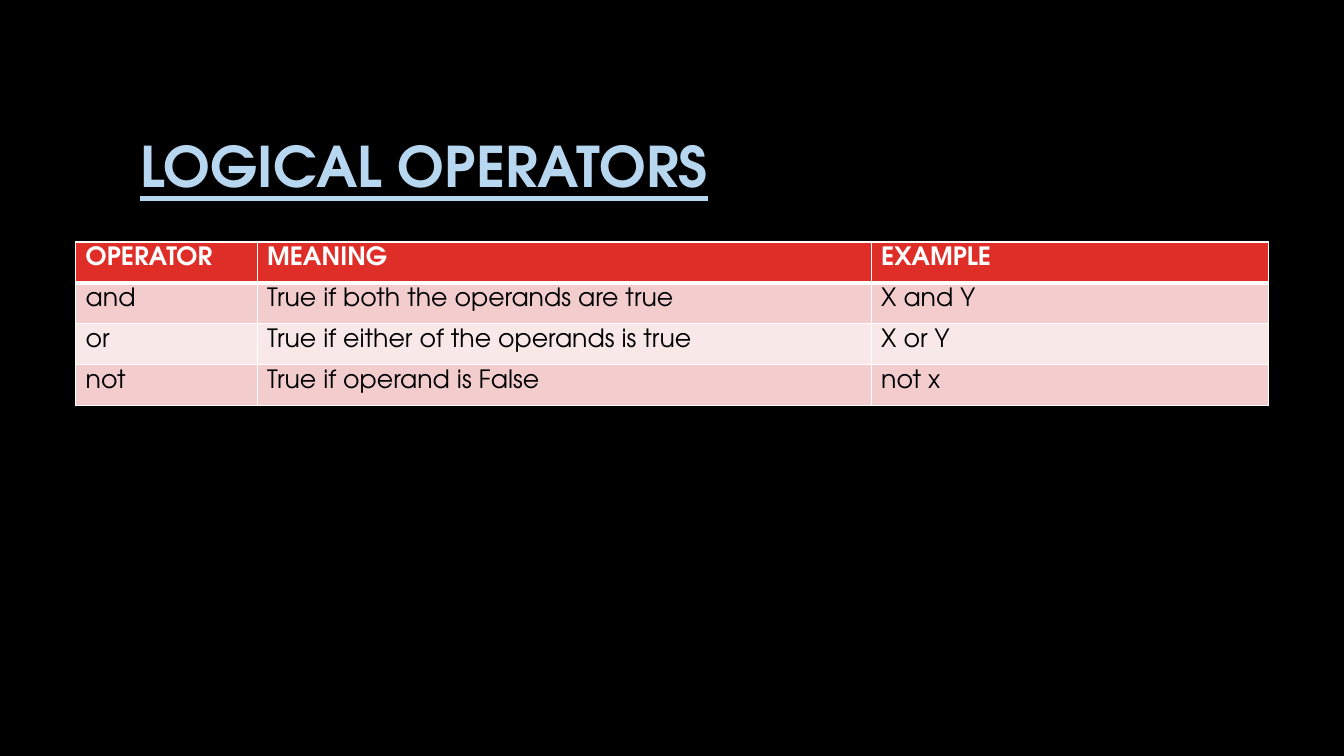
import pptx
import pptx.dml.color
import pptx.enum.text
import pptx.oxml
import pptx.oxml.ns
import pptx.util

Inches = pptx.util.Inches
Pt = pptx.util.Pt
RGB = pptx.dml.color.RGBColor
BLACK = RGB(0x00, 0x00, 0x00)
WHITE = RGB(0xFF, 0xFF, 0xFF)
BLUE = RGB(0xB7, 0xD7, 0xF1)
RED = RGB(0xDF, 0x2E, 0x28)
ROSE = RGB(0xF3, 0xCD, 0xCD)
PALE = RGB(0xF9, 0xE8, 0xE8)
FACE = "TeX Gyre Adventor"


def style(text, look):
    for run in text.paragraphs[0].runs:
        run.font.name = FACE
        run.font.color.rgb = look["color"]
        for key in ("size", "bold", "underline"):
            setattr(run.font, key, look.get(key))


def edge(cell, side, width):
    """Draw a white border, width in points, on side L, R, T or B."""
    cell._tc.get_or_add_tcPr().append(pptx.oxml.parse_xml(
        f'<a:ln{side} {pptx.oxml.ns.nsdecls("a")} w="{Pt(width)}">'
        f'<a:solidFill><a:srgbClr val="{WHITE}"/></a:solidFill></a:ln{side}>'))


deck = pptx.Presentation()
deck.slide_width = Inches(13.33)
deck.slide_height = Inches(7.5)
slide = deck.slides.add_slide(deck.slide_layouts[5])
for mark in list(slide.placeholders):
    if mark.placeholder_format.idx != 0:
        mark.element.getparent().remove(mark.element)
slide.background.fill.solid()
slide.background.fill.fore_color.rgb = BLACK

title = slide.shapes.title
place = {"left": -2.3, "top": 0.98, "width": 9.42, "height": 1.41}
for key, value in place.items():
    setattr(title, key, Inches(value))
frame = title.text_frame
frame.text = "LOGICAL OPERATORS"
frame.word_wrap = True
frame.auto_size = pptx.enum.text.MSO_AUTO_SIZE.NONE
frame.vertical_anchor = pptx.enum.text.MSO_ANCHOR.MIDDLE
frame.paragraphs[0].alignment = pptx.enum.text.PP_ALIGN.RIGHT
frame.paragraphs[0].line_spacing = 0.9
style(frame, {"size": Pt(40), "bold": True, "underline": True, "color": BLUE})

rows = [
    ("OPERATOR", "MEANING", "EXAMPLE"),
    ("and", "True if both the operands are\u00a0true", "X and Y"),
    ("or", "True if either of the operands is true", "X or Y"),
    ("not", "True if operand is False", "not x"),
]
fills = [RED, ROSE, PALE, ROSE]
head = {"size": Pt(18), "bold": True, "color": WHITE}
body = {"size": Pt(18), "bold": False, "color": BLACK}
table = slide.shapes.add_table(
    len(rows), 3, Inches(0.75), Inches(2.4), Inches(11.83), Inches(1.62)).table
for col, width in zip(table.columns, (1.8, 6.09, 3.94)):
    col.width = Inches(width)

for r, row in enumerate(rows):
    for c, words in enumerate(row):
        cell = table.cell(r, c)
        cell.text = words
        style(cell.text_frame, body if r else head)
        for side in "LRTB":
            thick = (r, side) in ((0, "B"), (1, "T"))
            edge(cell, side, 3 if thick else 1)
        cell.fill.solid()
        cell.fill.fore_color.rgb = fills[r]

deck.save("out.pptx")
